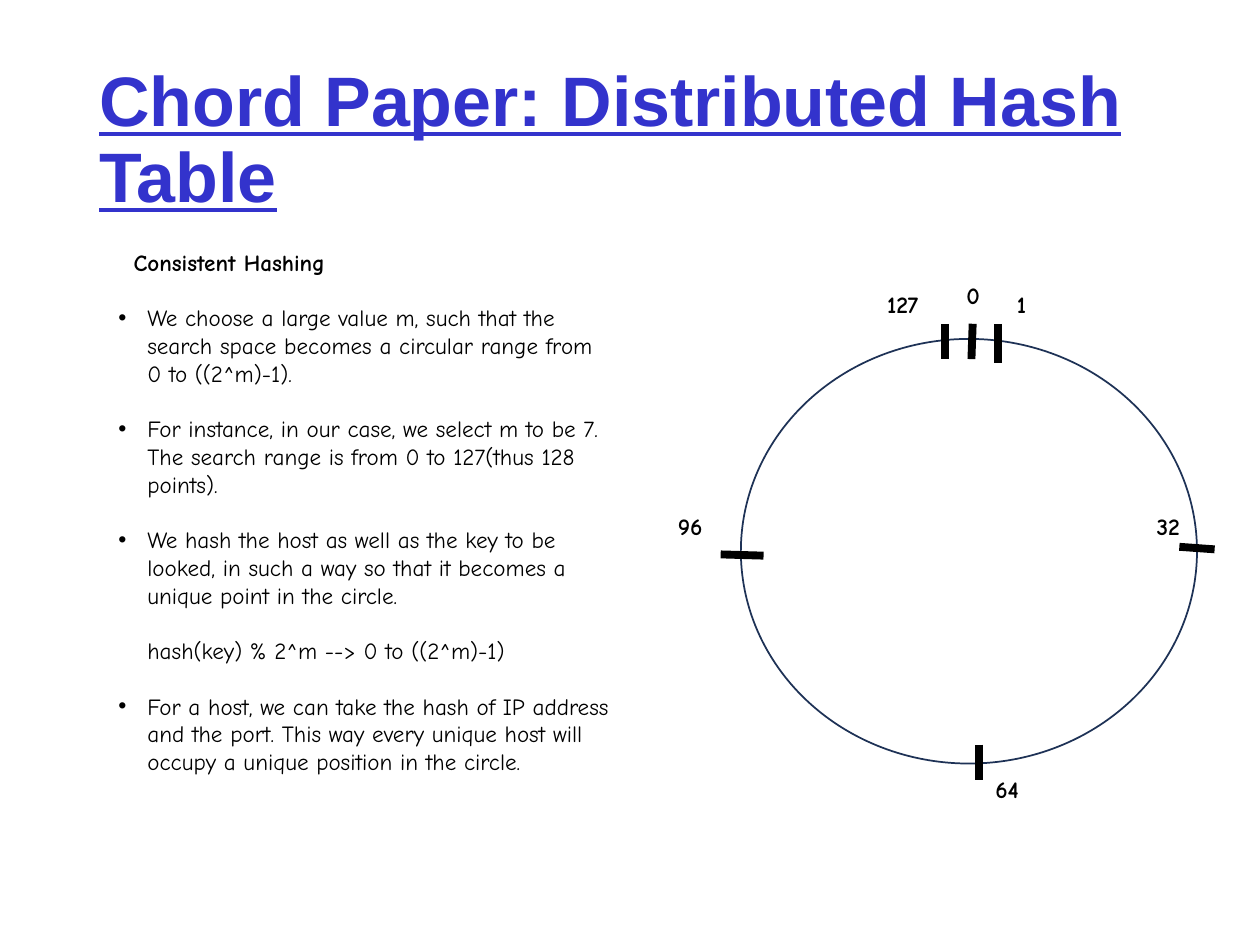
from lxml.etree import SubElement
from pptx import Presentation
from pptx.dml.color import RGBColor
from pptx.enum.shapes import MSO_CONNECTOR, MSO_SHAPE
from pptx.enum.text import MSO_ANCHOR
from pptx.oxml.ns import qn
from pptx.util import Inches, Pt

COLORS = {"title": "3333CC", "text": "000000", "ring": "1E3256", "paper": "FFFFFF"}
BODY_FONT = "Comic Neue"
BODY_SIZE = 13.2
LINE_GAP = 15.84  # one body line, in points

# Content
TITLE = "Chord Paper: Distributed Hash Table"
HEADING = "Consistent Hashing"
# (text, has bullet)
POINTS = [
    ("We choose a large value m, such that the search space becomes a circular "
     "range from 0 to ((2^m)-1).", True),
    ("For instance, in our case, we select m to be 7. The search range is from "
     "0 to 127(thus 128 points).", True),
    ("We hash the host as well as the key to be looked, in such a way so that it "
     "becomes a unique point in the circle.", True),
    ("hash(key) % 2^m --> 0 to ((2^m)-1)", False),
    ("For a host, we can take the hash of IP address and the port. This way every "
     "unique host will occupy a unique position in the circle.", True),
]
RING = (5.88, 2.69, 3.62, 3.37)
# (label, label left, top, width, tick start, tick end)
POSITIONS = [
    ("0", 7.6, 2.19, 0.24, (7.72, 2.57), (7.71, 2.85)),
    ("1", 8, 2.26, 0.24, (7.92, 2.57), (7.92, 2.88)),
    ("32", 9.11, 4.02, 0.73, (9.36, 4.34), (9.64, 4.36)),
    ("64", 7.83, 6.11, 0.6, (7.77, 5.91), (7.77, 6.19)),
    ("96", 5.31, 4.02, 0.45, (6.06, 4.41), (5.72, 4.4)),
    ("127", 6.97, 2.26, 0.51, (7.5, 2.57), (7.5, 2.85)),
]


def rgb(name):
    return RGBColor.from_string(COLORS[name])


def add_frame(left, top, width, height, inset_x=0.07, inset_y=0.04):
    frame = slide.shapes.add_textbox(
        Inches(left), Inches(top), Inches(width), Inches(height)).text_frame
    frame.word_wrap = True
    frame.margin_left = frame.margin_right = Inches(inset_x)
    frame.margin_top = frame.margin_bottom = Inches(inset_y)
    return frame


def add_run(paragraph, text, size, bold=False, font=BODY_FONT, color="text"):
    run = paragraph.add_run()
    run.text = text
    run.font.name = font
    run.font.size = Pt(size)
    run.font.bold = bold
    run.font.color.rgb = rgb(color)
    return run


def set_indent(paragraph, left, first=0, bullet=False):
    properties = paragraph._p.get_or_add_pPr()
    properties.set("marL", str(Inches(left)))
    properties.set("indent", str(Inches(first)))
    if bullet:
        SubElement(properties, qn("a:buFont"), typeface="Arial")
        SubElement(properties, qn("a:buChar"), char="•")
    else:
        SubElement(properties, qn("a:buNone"))


def add_tick(start, end):
    tick = slide.shapes.add_connector(
        MSO_CONNECTOR.STRAIGHT, *(Inches(value) for value in start + end))
    tick.line.color.rgb = rgb("text")
    tick.line.width = Pt(4.5)
    SubElement(tick._element.spPr, qn("a:effectLst"))


presentation = Presentation()
presentation.slide_width, presentation.slide_height = Inches(10), Inches(7.5)
slide = presentation.slides.add_slide(presentation.slide_layouts[6])

# Hash ring
ring = slide.shapes.add_shape(MSO_SHAPE.OVAL, *(Inches(value) for value in RING))
ring.shadow.inherit = False
ring.fill.solid()
ring.fill.fore_color.rgb = rgb("paper")
ring.line.color.rgb = rgb("ring")
ring.line.width = Pt(1)

# Ticks and labels around the ring
for label, left, top, width, start, end in POSITIONS:
    add_tick(start, end)
    add_run(add_frame(left, top, width, 0.3).paragraphs[0], label, 13.5, bold=True)

# Explanation
explanation = add_frame(0.49, 1.93, 4.43, 4.38)
heading = explanation.paragraphs[0]
set_indent(heading, 0.5)
add_run(heading, HEADING, BODY_SIZE, bold=True)
for text, has_bullet in POINTS:
    point = explanation.add_paragraph()
    point.space_before = Pt(LINE_GAP)
    set_indent(point, 0.61, -0.23 if has_bullet else 0, has_bullet)
    add_run(point, text, BODY_SIZE)

# Title
title = add_frame(0.69, 0.4, 8.62, 1.45, 0.1, 0.05)
title.vertical_anchor = MSO_ANCHOR.MIDDLE
title.paragraphs[0].line_spacing = 0.9
add_run(title.paragraphs[0], TITLE, 40, True, "Arial", "title").font.underline = True

presentation.save("out.pptx")
